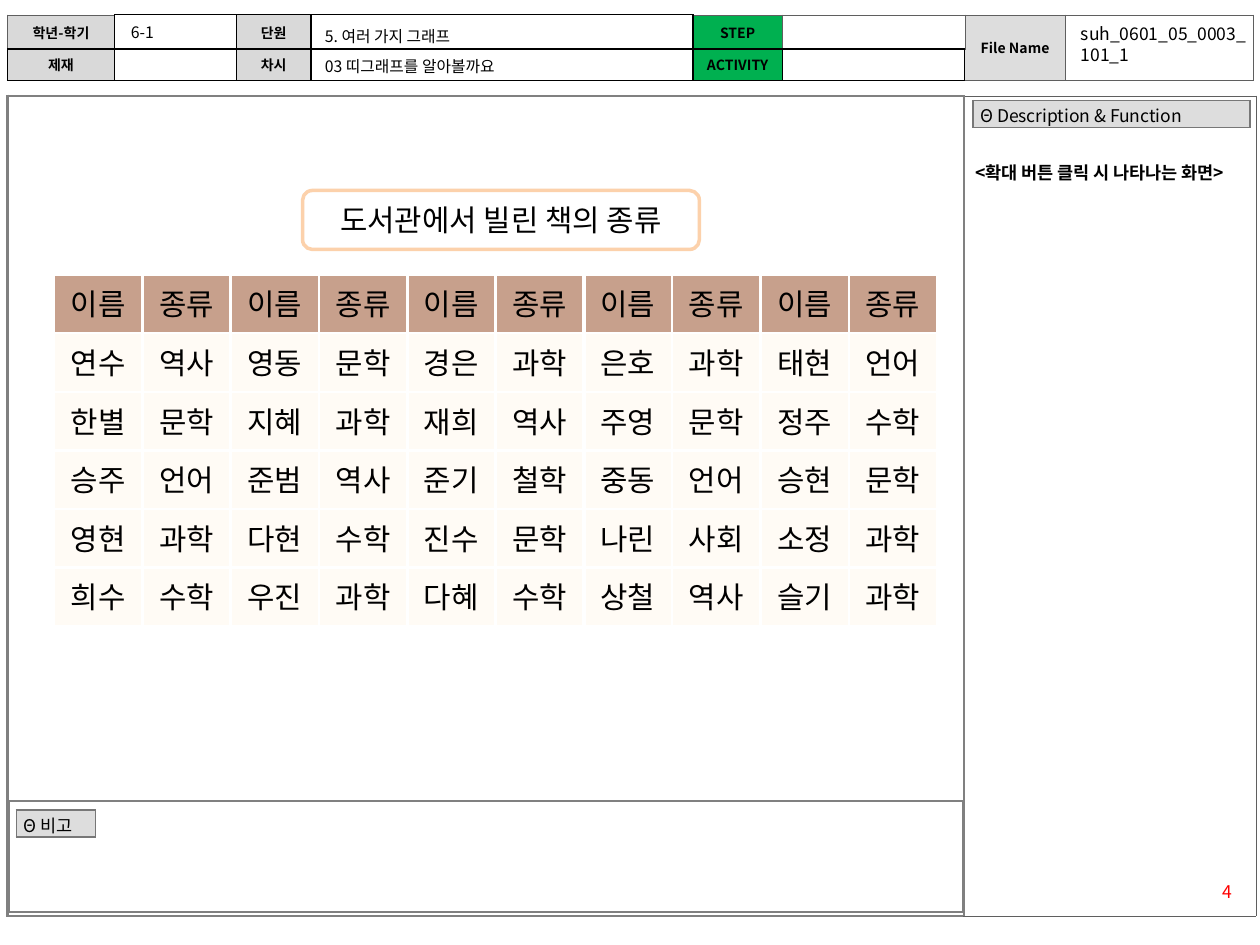
from lxml import etree
from pptx import Presentation
from pptx.dml.color import RGBColor
from pptx.enum.shapes import MSO_SHAPE
from pptx.enum.text import MSO_ANCHOR, PP_ALIGN
from pptx.oxml.ns import qn
from pptx.util import Cm, Pt

LEFT, CENTER, RIGHT, JUSTIFY = PP_ALIGN.LEFT, PP_ALIGN.CENTER, PP_ALIGN.RIGHT, PP_ALIGN.JUSTIFY
TOP, MIDDLE = MSO_ANCHOR.TOP, MSO_ANCHOR.MIDDLE
ROUNDED = MSO_SHAPE.ROUNDED_RECTANGLE

BLACK = RGBColor(0x00, 0x00, 0x00)
WHITE = RGBColor(0xFF, 0xFF, 0xFF)
RED = RGBColor(0xFF, 0x00, 0x00)
GREEN = RGBColor(0x00, 0xB0, 0x50)
LABEL_GREY = RGBColor(0xD9, 0xD9, 0xD9)
TAG_GREY = RGBColor(0xDD, 0xDD, 0xDD)
TAG_LINE = RGBColor(0x77, 0x77, 0x77)
FRAME_LINE = RGBColor(0x80, 0x80, 0x80)
THIN_LINE = RGBColor(0x5F, 0x5F, 0x5F)
BROWN = RGBColor(0xC7, 0xA0, 0x8C)
CREAM = RGBColor(0xFF, 0xFB, 0xF5)
PEACH = RGBColor(0xFC, 0xD1, 0xAB)

FRAME_EDGE = (FRAME_LINE, 1.5)
THIN_EDGE = (THIN_LINE, 0.25)
BLACK_EDGE = (BLACK, 0.75)
PLAIN_TABLE = "{2D5ABB26-0587-4C30-8999-92F81FD0307C}"


class Storyboard:
    def __init__(self, page, font):
        self.page = page
        self.font = font

    def style(self, para, size, color=BLACK, bold=False, align=LEFT):
        para.alignment = align
        font = para.font
        font.name, font.size, font.bold = self.font, Pt(size), bold
        font.color.rgb = color
        etree.SubElement(font._rPr, qn("a:ea"), typeface=self.font)

    def text(self, left, top, width, height, words, size=9, **look):
        box = self.page.shapes.add_textbox(Cm(left), Cm(top), Cm(width), Cm(height))
        box.text_frame.word_wrap = True
        para = box.text_frame.paragraphs[0]
        para.text = words
        self.style(para, size, **look)

    def rounded_title(self, left, top, width, height, words):
        shape = self.page.shapes.add_shape(ROUNDED, Cm(left), Cm(top), Cm(width), Cm(height))
        shape.shadow.inherit = False
        shape.fill.solid()
        shape.fill.fore_color.rgb = WHITE
        shape.line.color.rgb = PEACH
        shape.line.width = Pt(2)
        shape.text_frame.vertical_anchor = MIDDLE
        para = shape.text_frame.paragraphs[0]
        para.text = words
        self.style(para, 17, align=CENTER)

    def table(self, left, top, widths, heights):
        frame = self.page.shapes.add_table(len(heights), len(widths), Cm(left), Cm(top),
                                           Cm(sum(widths)), Cm(sum(heights)))
        table = frame.table
        table.first_row = table.horz_banding = False
        table._tbl.tblPr.find(qn("a:tableStyleId")).text = PLAIN_TABLE
        for column, width in zip(table.columns, widths):
            column.width = Cm(width)
        for row, height in zip(table.rows, heights):
            row.height = Cm(height)
        return table

    def cell(self, cell, edge, words="", fill=None, size=8, bold=False, align=CENTER,
             anchor=MIDDLE, margins=(0.25, 0.1), left_edge=None):
        cell.margin_left = cell.margin_right = Cm(margins[0])
        cell.margin_top = cell.margin_bottom = Cm(margins[1])
        cell.vertical_anchor = anchor
        properties = cell._tc.get_or_add_tcPr()
        for side in "LRTB":
            color, width = left_edge if side == "L" and left_edge else edge
            line = etree.SubElement(properties, qn(f"a:ln{side}"), w=str(Pt(width)))
            solid = etree.SubElement(line, qn("a:solidFill"))
            etree.SubElement(solid, qn("a:srgbClr"), val=str(color))
        if fill is None:
            cell.fill.background()
        else:
            cell.fill.solid()
            cell.fill.fore_color.rgb = fill
        para = cell.text_frame.paragraphs[0]
        if words:
            para.text = words
            self.style(para, size, bold=bold, align=align)
        else:
            # Keeps an empty cell from stretching its row
            para._p.get_or_add_endParaRPr().set("sz", str(size * 100))

    def tag(self, left, top, width, words):
        cell = self.table(left, top, [width], [0.53]).cell(0, 0)
        self.cell(cell, (TAG_LINE, 1), words, TAG_GREY, 10, align=LEFT, margins=(0.15, 0.08))
        cell.text_frame.paragraphs[0].line_spacing = 0.9


def main():
    deck = Presentation()
    deck.slide_width, deck.slide_height = Cm(25.4), Cm(19.05)
    page = deck.slides.add_slide(deck.slide_layouts[6])
    board = Storyboard(page, "Noto Sans CJK KR")

    # Page frame: screen area and description column
    frame = board.table(0.15, 1.93, [19.28, 5.89], [16.54])
    board.cell(frame.cell(0, 0), FRAME_EDGE)
    board.cell(frame.cell(0, 1), THIN_EDGE, left_edge=FRAME_EDGE)

    # Lesson information
    labels = [["학년-학기", "", "단원", "", "STEP", "", "File Name", ""],
              ["제재", "", "차시", "", "ACTIVITY", "", "", ""]]
    fills = [LABEL_GREY, None, LABEL_GREY, None, GREEN, None, TAG_GREY, None]
    info = board.table(0.15, 0.3, [2.16, 2.46, 1.5, 7.7, 1.8, 3.68, 2.03, 3.79], [0.69, 0.63])
    for column in (6, 7):
        info.cell(0, column).merge(info.cell(1, column))
    for r, row in enumerate(labels):
        for c, words in enumerate(row):
            black = 1 <= c <= 3 or (r == 1 and c < 6)
            board.cell(info.cell(r, c), BLACK_EDGE if black else THIN_EDGE,
                       words, fills[c], bold=True)
    board.text(2.39, 0.33, 2.39, 0.61, "6-1")
    board.text(6.3, 0.41, 7.7, 0.41, "5. 여러 가지 그래프")
    board.text(6.3, 1.02, 7.6, 0.61, "03 띠그래프를 알아볼까요")
    board.text(21.54, 0.33, 3.86, 1.12, "suh_0601_05_0003_101_1", size=10)

    # Remarks
    board.cell(board.table(0.18, 16.15, [19.23], [2.24]).cell(0, 0), FRAME_EDGE)
    board.tag(0.33, 16.33, 1.6, "Θ 비고")

    # Description column
    board.tag(19.61, 2.03, 5.59, "Θ Description & Function")
    board.text(19.41, 3.15, 5.99, 1, "<확대 버튼 클릭 시 나타나는 화면>",
               size=10, bold=True, align=JUSTIFY)
    board.text(23.39, 17.63, 1.7, 0.69, "4", size=10, color=RED, align=RIGHT)

    # Borrowed books: name and kind in turn
    books = ["이름 종류 " * 5,
             "연수 역사 영동 문학 경은 과학 은호 과학 태현 언어",
             "한별 문학 지혜 과학 재희 역사 주영 문학 정주 수학",
             "승주 언어 준범 역사 준기 철학 중동 언어 승현 문학",
             "영현 과학 다현 수학 진수 문학 나린 사회 소정 과학",
             "희수 수학 우진 과학 다혜 수학 상철 역사 슬기 과학"]
    grid = board.table(1.09, 5.54, [1.78] * 10, [1.18] * 6)
    for r, row in enumerate(books):
        for c, words in enumerate(row.split()):
            pair_edge = (WHITE, 2.25) if c and c % 2 == 0 else None
            board.cell(grid.cell(r, c), (WHITE, 1.5), words, CREAM if r else BROWN, 17,
                       anchor=TOP, margins=(0.28, 0.13), left_edge=pair_edge)
    board.rounded_title(6.1, 3.84, 8, 1.19, "도서관에서 빌린 책의 종류")

    deck.save("out.pptx")


if __name__ == "__main__":
    main()
